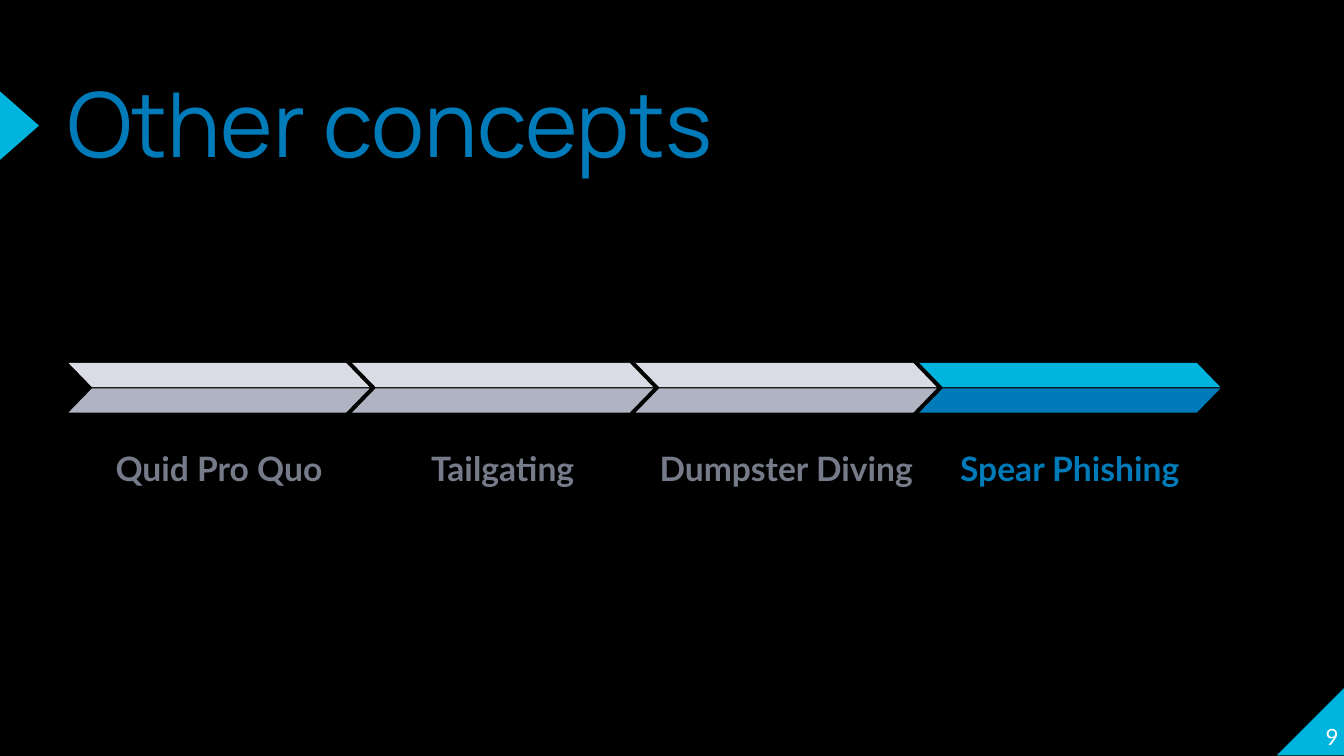
from pptx import Presentation
from pptx.dml.color import RGBColor
from pptx.enum.shapes import MSO_SHAPE
from pptx.enum.text import MSO_ANCHOR, PP_ALIGN
from pptx.util import Inches, Pt

CYAN, BLUE = "00B5DD", "007BB9"
LIGHT_GREY, MID_GREY, TEXT_GREY = "DADCE5", "B0B3C1", "757B89"
STEPS = ["Quid Pro Quo", "Tailgating", "Dumpster Diving", "Spear Phishing"]
STEP_PITCH = 2.11
STEP_WIDTH = 2.24


def rgb(color):
    return RGBColor.from_string(color)


def add_filled_shape(page, kind, box, color, flipped=False):
    shape = page.shapes.add_shape(kind, *map(Inches, box))
    shape.shadow.inherit = False
    shape.fill.solid()
    shape.fill.fore_color.rgb = rgb(color)
    shape.line.fill.background()
    if flipped:
        shape._element.spPr.xfrm.set("flipH", "1")
    return shape


def add_text(page, box, text, font, size, color, bold=False, align=PP_ALIGN.LEFT,
             anchor=MSO_ANCHOR.TOP, inset=0, spacing=1.0):
    frame = page.shapes.add_textbox(*map(Inches, box)).text_frame
    frame.word_wrap = True
    frame.vertical_anchor = anchor
    frame.margin_left = frame.margin_right = Inches(inset)
    frame.margin_top = frame.margin_bottom = Inches(inset)
    frame.text = text
    para = frame.paragraphs[0]
    para.alignment = align
    para.line_spacing = spacing
    span = para.runs[0]
    span.font.name = font
    span.font.size = Pt(size)
    span.font.bold = bold
    span.font.color.rgb = rgb(color)


def add_title(page, left, top, width, height):
    marker = add_filled_shape(page, MSO_SHAPE.ISOSCELES_TRIANGLE,
                              (left - 0.61, top + 0.13, 0.51, 0.29), CYAN)
    marker.rotation = 90
    add_text(page, (left, top, width, height), "Other concepts",
             "Manrope", 48, BLUE, spacing=0.8)


def add_page_number(page, left, top, size):
    add_filled_shape(page, MSO_SHAPE.RIGHT_TRIANGLE, (left, top, size, size),
                     CYAN, flipped=True)
    add_text(page, (left - 0.04, top - 0.04, 0.5, size), "9", "Lato", 12, "FFFFFF",
             align=PP_ALIGN.RIGHT, anchor=MSO_ANCHOR.BOTTOM)


def add_step(page, left, top, width, label, colors):
    """Draw a chevron from two mirrored halves, with its label below."""
    upper, lower, text_color = colors
    for offset, color, flipped in ((0, upper, True), (0.19, lower, False)):
        half = add_filled_shape(page, MSO_SHAPE.PARALLELOGRAM,
                                (left, top + offset, width, 0.18), color, flipped)
        half.adjustments[0] = 0.97
    add_text(page, (left, top + 0.48, width, 0.55), label, "Lato", 18, text_color,
             bold=True, align=PP_ALIGN.CENTER, anchor=MSO_ANCHOR.BOTTOM,
             inset=0.1, spacing=1.15)


def add_process(page, left, top):
    for index, label in enumerate(STEPS):
        is_current = index == len(STEPS) - 1
        colors = (CYAN, BLUE, BLUE) if is_current else (LIGHT_GREY, MID_GREY, TEXT_GREY)
        add_step(page, left + index * STEP_PITCH, top, STEP_WIDTH, label, colors)


def main():
    deck = Presentation()
    deck.slide_width = Inches(10)
    deck.slide_height = deck.slide_width * 9 // 16
    page = deck.slides.add_slide(deck.slide_layouts[6])
    page.background.fill.solid()
    page.background.fill.fore_color.rgb = rgb("000000")
    add_page_number(page, 9.5, 5.11, 0.51)
    add_title(page, 0.5, 0.66, 6.17, 1.18)
    add_process(page, 0.51, 2.7)
    deck.save("out.pptx")


if __name__ == "__main__":
    main()
